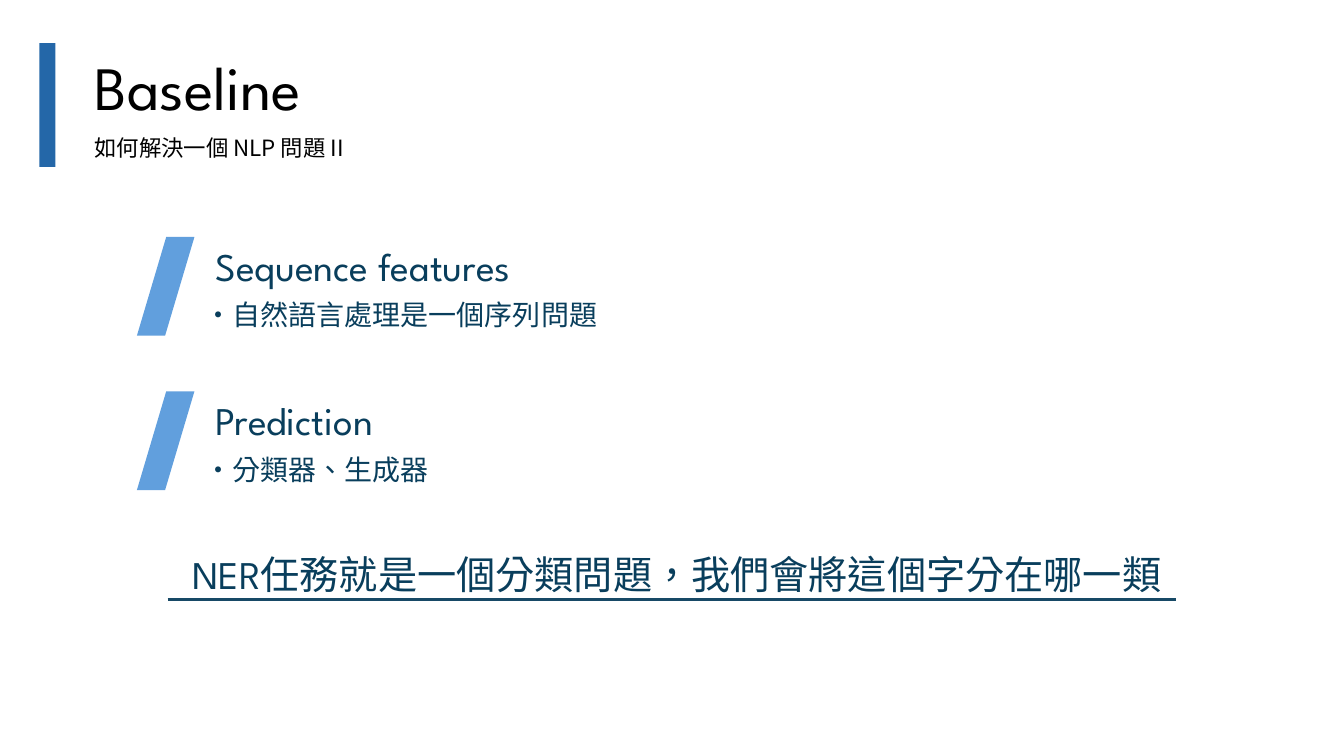
from dataclasses import dataclass

from lxml import etree
from pptx import Presentation
from pptx.dml.color import RGBColor
from pptx.enum.lang import MSO_LANGUAGE_ID
from pptx.enum.shapes import MSO_CONNECTOR, MSO_SHAPE
from pptx.enum.text import MSO_ANCHOR, MSO_AUTO_SIZE, PP_ALIGN
from pptx.oxml.ns import qn
from pptx.shapes.autoshape import Shape
from pptx.slide import Slide
from pptx.util import Cm, Pt

LEFT, CENTER = PP_ALIGN.LEFT, PP_ALIGN.CENTER
TOP = MSO_ANCHOR.TOP
FIXED = MSO_AUTO_SIZE.NONE
RECT, SLANT = MSO_SHAPE.RECTANGLE, MSO_SHAPE.PARALLELOGRAM
STRAIGHT = MSO_CONNECTOR.STRAIGHT
CHINESE = MSO_LANGUAGE_ID.TRADITIONAL_CHINESE


@dataclass(frozen=True)
class Theme:
    latin: str = "League Spartan"
    asian: str = "Noto Sans CJK SC"
    black: str = "000000"
    navy: str = "093E5C"
    blue: str = "2467A8"
    sky: str = "619FDD"
    rule: str = "174966"
    title: int = 44
    head: int = 28
    item: int = 20
    sub: int = 16


@dataclass(frozen=True)
class Box:
    left: float
    top: float
    width: float
    height: float


@dataclass(frozen=True)
class Style:
    face: str
    size: int
    color: str
    align: PP_ALIGN = LEFT
    inset: float = 0.25


@dataclass(frozen=True)
class Topic:
    head: str
    item: str
    head_width: float
    item_width: float


THEME = Theme()
TITLE = Style(THEME.latin, THEME.title, THEME.black)
SUB = Style(THEME.asian, THEME.sub, THEME.black)
HEAD = Style(THEME.latin, THEME.head, THEME.navy, inset=0.53)
ITEM = Style(THEME.asian, THEME.item, THEME.navy)
CLAIM = Style(THEME.latin, THEME.head, THEME.navy, CENTER, 0.5)

TOPICS = [
    Topic("Sequence features", "·自然語言處理是一個序列問題", 9.86, 10.49),
    Topic("Prediction", "·分類器、生成器", 5.74, 6.22),
]
FIRST, PITCH = 5.97, 3.89


def place(shape: Shape, box: Box) -> None:
    shape.left, shape.top = Cm(box.left), Cm(box.top)
    shape.width, shape.height = Cm(box.width), Cm(box.height)


def write(shape: Shape, box: Box, text: str, style: Style) -> None:
    place(shape, box)
    frame = shape.text_frame
    frame.text = text
    frame.word_wrap = True
    frame.auto_size = FIXED
    frame.vertical_anchor = TOP
    frame.margin_left, frame.margin_right = Cm(style.inset), Cm(0.25)
    frame.margin_top = frame.margin_bottom = Cm(0.13)
    para = frame.paragraphs[0]
    para.alignment = style.align
    para.line_spacing = 1.0
    para.space_before = Pt(0)
    props = para._p.get_or_add_pPr()
    props.set("marL", "0")
    props.set("indent", "0")
    etree.SubElement(props, qn("a:buNone"))
    font = para.font
    font.name, font.size, font.bold = style.face, Pt(style.size), False
    font.color.rgb = RGBColor.from_string(style.color)
    asian = etree.SubElement(props.find(qn("a:defRPr")), qn("a:ea"))
    asian.set("typeface", THEME.asian)
    para.runs[0].font.language_id = CHINESE


def block(slide: Slide, kind: MSO_SHAPE, box: Box, color: str) -> Shape:
    shape = slide.shapes.add_shape(kind, 0, 0, 0, 0)
    place(shape, box)
    shape.shadow.inherit = False
    shape.fill.solid()
    shape.fill.fore_color.rgb = RGBColor.from_string(color)
    shape.line.fill.background()
    return shape


def note(slide: Slide, box: Box, text: str, style: Style) -> None:
    write(slide.shapes.add_textbox(0, 0, 0, 0), box, text, style)


def rule(slide: Slide, left: float, right: float, top: float) -> None:
    line = slide.shapes.add_connector(
        STRAIGHT, Cm(left), Cm(top), Cm(right), Cm(top))
    line.line.color.rgb = RGBColor.from_string(THEME.rule)
    line.line.width = Pt(2.25)
    etree.SubElement(line._element.spPr, qn("a:effectLst"))


def main() -> None:
    deck = Presentation()
    deck.slide_width, deck.slide_height = Cm(33.86), Cm(19.05)
    slide = deck.slides.add_slide(deck.slide_layouts[4])
    title, *bodies = slide.placeholders

    block(slide, RECT, Box(0.99, 1.09, 0.41, 3.12), THEME.blue)
    write(title, Box(2.13, 1.09, 7.09, 2.13), "Baseline", TITLE)
    note(slide, Box(2.13, 3.25, 6.81, 0.94), "如何解決一個 NLP 問題 II", SUB)

    pairs = zip(bodies[::2], bodies[1::2])
    for row, (topic, (head, item)) in enumerate(zip(TOPICS, pairs)):
        top = FIRST + row * PITCH
        slash = block(slide, SLANT, Box(3.45, top, 1.45, 2.49), THEME.sky)
        slash.adjustments[0] = 0.51
        write(head, Box(4.9, top, topic.head_width, 1.45), topic.head, HEAD)
        write(item, Box(4.9, top + 1.4, topic.item_width, 1.12),
              topic.item, ITEM)

    note(slide, Box(3.5, 13.74, 26.85, 1.45),
         "NER任務就是一個分類問題，我們會將這個字分在哪一類", CLAIM)
    rule(slide, 4.22, 29.64, 15.11)
    deck.save("out.pptx")


if __name__ == "__main__":
    main()
